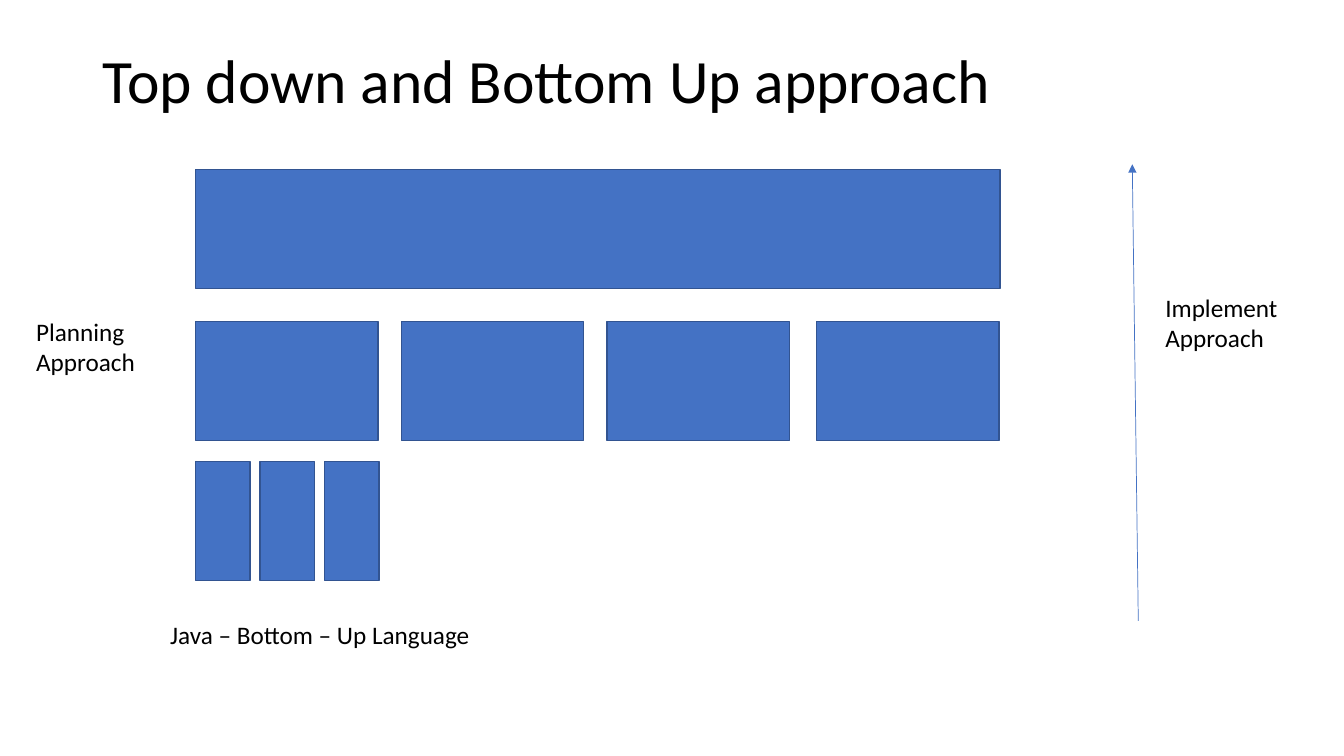
"""Build the slide on top-down planning and bottom-up implementation."""
from lxml import etree
from pptx import Presentation
from pptx.dml.color import RGBColor
from pptx.enum import shapes, text
from pptx.oxml import ns
from pptx.util import Inches, Pt

BLUE = RGBColor(0x44, 0x72, 0xC4)
DARK_BLUE = RGBColor(0x32, 0x54, 0x91)
BLACK = RGBColor(0, 0, 0)
BLOCK_HEIGHT = 1.18

presentation = Presentation()
presentation.slide_width = Inches(13.33)
presentation.slide_height = Inches(7.5)
slide = presentation.slides.add_slide(presentation.slide_layouts[6])


def add_text(lines, left, top, width, height, size=18,
             anchor=text.MSO_ANCHOR.TOP, spacing=1.0):
    box = slide.shapes.add_textbox(Inches(left), Inches(top), Inches(width), Inches(height))
    frame = box.text_frame
    frame.word_wrap = True
    frame.vertical_anchor = anchor
    frame.text = "\n".join(lines)
    for paragraph in frame.paragraphs:
        paragraph.line_spacing = spacing
        paragraph.font.name = "Calibri"
        paragraph.font.size = Pt(size)
        paragraph.font.color.rgb = BLACK


add_text(["Top down and Bottom Up approach"], 0.92, 0.4, 9.16, 0.85,
         size=44, anchor=text.MSO_ANCHOR.MIDDLE, spacing=0.9)

block_rows = [
    (1.68, 7.98, [1.94]),
    (3.19, 1.81, [1.94, 3.98, 6.02, 8.1]),
    (4.58, 0.54, [1.94 + 0.64 * column for column in range(3)]),
]
for top, width, lefts in block_rows:
    for left in lefts:
        block = slide.shapes.add_shape(
            shapes.MSO_SHAPE.RECTANGLE,
            Inches(left), Inches(top), Inches(width), Inches(BLOCK_HEIGHT))
        block.shadow.inherit = False
        block.fill.solid()
        block.fill.fore_color.rgb = BLUE
        block.line.color.rgb = DARK_BLUE
        block.line.width = Pt(1)

add_text(["Planning", "Approach"], 0.26, 3.09, 1.55, 0.71)

arrow = slide.shapes.add_connector(
    shapes.MSO_CONNECTOR.STRAIGHT,
    Inches(11.29), Inches(6.16), Inches(11.23), Inches(1.63))
arrow.line.color.rgb = BLUE
arrow.line.width = Pt(0.5)
etree.SubElement(arrow.line._get_or_add_ln(), ns.qn("a:tailEnd"), type="triangle")
etree.SubElement(arrow._element.spPr, ns.qn("a:effectLst"))

add_text(["Implement", "Approach"], 11.46, 2.85, 1.46, 0.71)
add_text(["Java – Bottom – Up Language"], 1.59, 6.09, 6.17, 0.4)

presentation.save("out.pptx")
